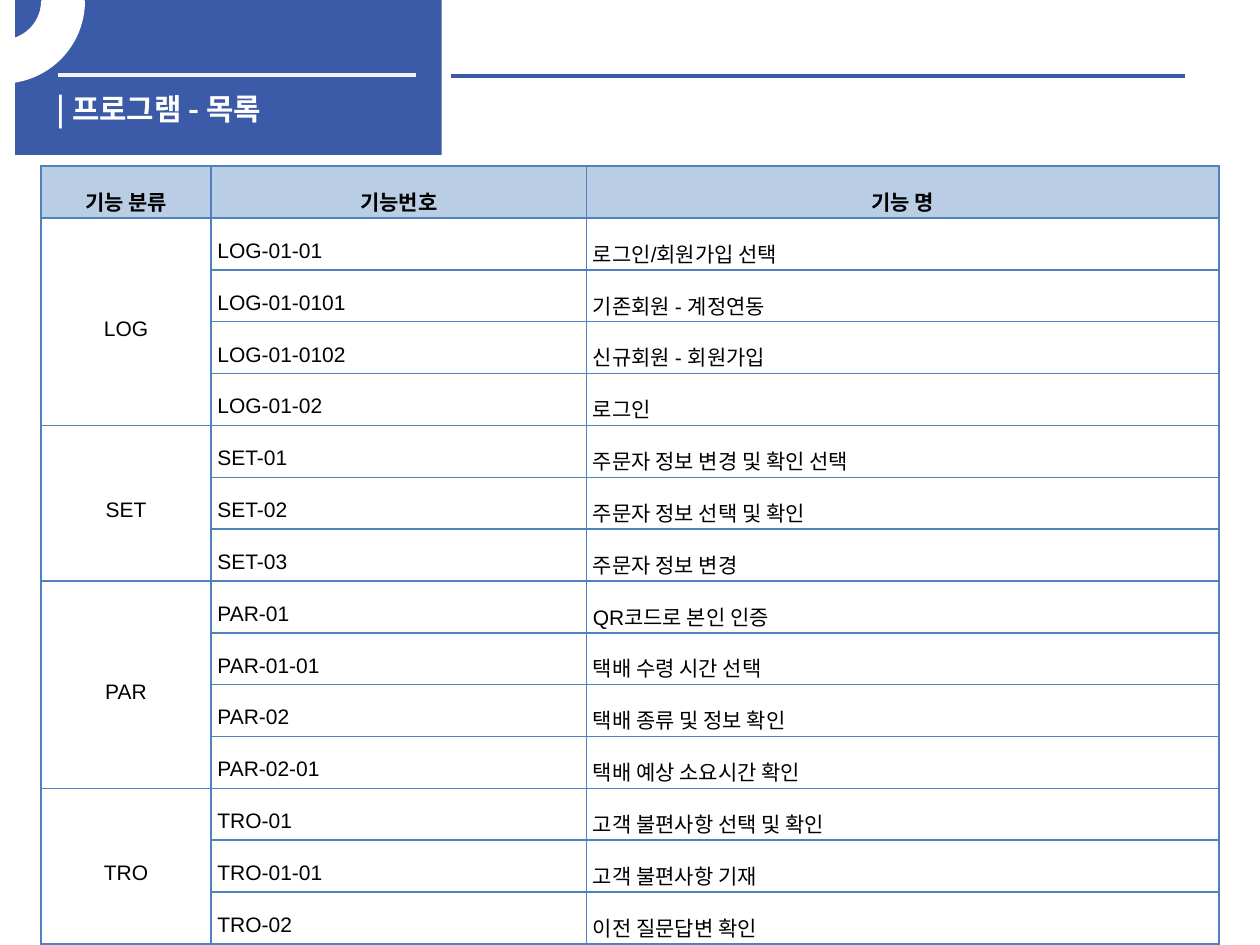
from lxml import etree
from pptx import Presentation
from pptx.dml.color import RGBColor
from pptx.enum.shapes import MSO_CONNECTOR, MSO_SHAPE
from pptx.enum.text import MSO_ANCHOR, PP_ALIGN
from pptx.oxml.ns import qn
from pptx.util import Pt

RECT, ARC = MSO_SHAPE.RECTANGLE, MSO_SHAPE.BLOCK_ARC
LINE = MSO_CONNECTOR.STRAIGHT
MIDDLE = MSO_ANCHOR.MIDDLE
CENTER, JUSTIFY = PP_ALIGN.CENTER, PP_ALIGN.JUSTIFY

NAVY = RGBColor(0x3B, 0x5A, 0xA8)
PALE = RGBColor(0xF2, 0xF2, 0xF2)
WHITE = RGBColor(0xFF, 0xFF, 0xFF)
BLACK = RGBColor(0, 0, 0)
SKY = RGBColor(0xB9, 0xCD, 0xE5)
EDGE = "4F81BD"

HEADS = ["기능 분류", "기능번호", "기능 명"]
GROUPS = {
    "LOG": [("LOG-01-01", "로그인/회원가입 선택"),
            ("LOG-01-0101", "기존회원 - 계정연동"),
            ("LOG-01-0102", "신규회원 - 회원가입"),
            ("LOG-01-02", "로그인")],
    "SET": [("SET-01", "주문자 정보 변경 및 확인 선택"),
            ("SET-02", "주문자 정보 선택 및 확인"),
            ("SET-03", "주문자 정보 변경")],
    "PAR": [("PAR-01", "QR코드로 본인 인증"),
            ("PAR-01-01", "택배 수령 시간 선택"),
            ("PAR-02", "택배 종류 및 정보 확인"),
            ("PAR-02-01", "택배 예상 소요시간 확인")],
    "TRO": [("TRO-01", "고객 불편사항 선택 및 확인"),
            ("TRO-01-01", "고객 불편사항 기재"),
            ("TRO-02", "이전 질문답변 확인")],
}
WIDTHS = [97.2, 214.6, 361.4]
ROW_H = 29.65

TITLE = {"name": "Noto Sans CJK KR", "size": Pt(17), "bold": True}
HEAD = {"name": "Arial", "size": Pt(12), "bold": True}
BODY = {**HEAD, "bold": False}
CELL = {"vertical_anchor": MIDDLE, "margin_left": Pt(3.6),
        "margin_right": Pt(3.6), "margin_top": Pt(0.7),
        "margin_bottom": Pt(0.7)}


def apply(item, look):
    for key, value in look.items():
        setattr(item, key, value)


def add_shape(slide, kind, x, y, w, h, color):
    shape = slide.shapes.add_shape(kind, Pt(x), Pt(y), Pt(w), Pt(h))
    shape.shadow.inherit = False
    shape.fill.solid()
    shape.fill.fore_color.rgb = color
    return shape


def add_rule(slide, x, y, w, color):
    rule = slide.shapes.add_connector(LINE, Pt(x), Pt(y), Pt(x + w), Pt(y))
    rule.line.color.rgb = color
    rule.line.width = Pt(2.25)
    etree.SubElement(rule._element.spPr, qn("a:effectLst"))


def add_header(slide, x, y, w, h):
    # Title panel and the two rules
    panel = add_shape(slide, RECT, x, y, w, h, NAVY)
    panel.line.fill.background()
    add_rule(slide, x + 24.6, y + 42.7, 204.5, PALE)
    add_rule(slide, x + w + 5.2, y + 43.2, 419.8, NAVY)

    # Title
    box = slide.shapes.add_textbox(Pt(x + 16.6), Pt(y + 48.2), Pt(221), Pt(23))
    box.text_frame.word_wrap = True
    run = box.text_frame.paragraphs[0].add_run()
    run.text = "| 프로그램 - 목록"
    apply(run.font, TITLE)
    run.font.color.rgb = WHITE
    east = etree.SubElement(run._r.get_or_add_rPr(), qn("a:ea"))
    east.set("typeface", TITLE["name"])

    # Quarter ring in the corner
    ring = add_shape(slide, ARC, x - 54, y - 45.4, 92.9, 92.2, WHITE)
    ring.line.color.rgb = WHITE
    ring.line.width = Pt(2)
    ring.rotation = 180
    ring._element.spPr.find(qn("a:xfrm")).set("flipH", "1")
    for i, value in enumerate([161.59, 0, 0.25]):
        ring.adjustments[i] = value


def add_edges(cell):
    props = cell._tc.get_or_add_tcPr()
    for i, side in enumerate(["lnL", "lnR", "lnT", "lnB"]):
        line = etree.Element(qn("a:" + side), w=str(Pt(1)))
        fill = etree.SubElement(line, qn("a:solidFill"))
        etree.SubElement(fill, qn("a:srgbClr"), val=EDGE)
        props.insert(i, line)


def fill_cell(cell, text, look, align):
    apply(cell, CELL)
    para = cell.text_frame.paragraphs[0]
    para.alignment = align
    para.line_spacing = 1.6
    run = para.add_run()
    run.text = text
    apply(run.font, look)
    run.font.color.rgb = BLACK


def add_list(slide, x, y):
    count = 1 + sum(len(items) for items in GROUPS.values())
    table = slide.shapes.add_table(count, len(HEADS), Pt(x), Pt(y),
                                   Pt(sum(WIDTHS)), Pt(ROW_H * count)).table
    apply(table, {"first_row": False, "horz_banding": False})
    for col, width in zip(table.columns, WIDTHS):
        col.width = Pt(width)

    # Cell fills and borders
    for r, row in enumerate(table.rows):
        row.height = Pt(ROW_H)
        for cell in row.cells:
            if r:
                cell.fill.background()
            else:
                cell.fill.solid()
                cell.fill.fore_color.rgb = SKY
            add_edges(cell)

    # Head row
    for c, text in enumerate(HEADS):
        fill_cell(table.cell(0, c), text, HEAD, CENTER)

    # One merged label for each group
    top = 1
    for name, items in GROUPS.items():
        label = table.cell(top, 0)
        label.merge(table.cell(top + len(items) - 1, 0))
        fill_cell(label, name, BODY, CENTER)
        for r, item in enumerate(items, top):
            for c, text in enumerate(item, 1):
                fill_cell(table.cell(r, c), text, BODY, JUSTIFY)
        top += len(items)


def main():
    deck = Presentation()
    deck.slide_width, deck.slide_height = Pt(720), Pt(540)
    slide = deck.slides.add_slide(deck.slide_layouts[6])
    add_header(slide, 8.6, 0, 243.8, 88.6)
    add_list(slide, 23.4, 95)
    deck.save("out.pptx")


if __name__ == "__main__":
    main()
